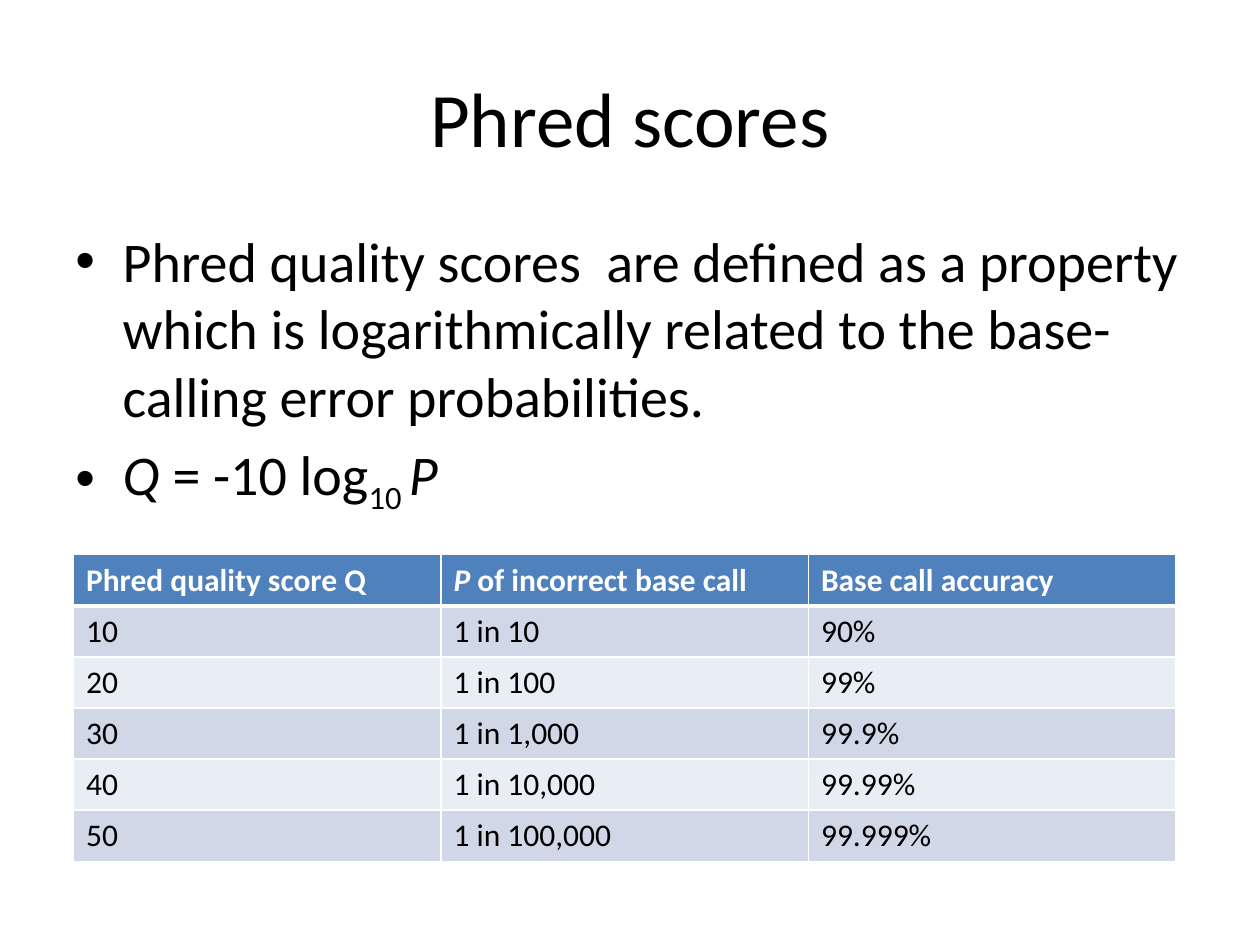
"""Build a slide that defines Phred scores and tabulates their accuracy."""
from lxml.etree import SubElement
from pptx import Presentation
from pptx.dml.color import RGBColor
from pptx.enum.text import MSO_ANCHOR, PP_ALIGN
from pptx.oxml.ns import qn
from pptx.util import Pt

COLORS = {
    "text": "000000",
    "white": "FFFFFF",
    "header": "4F81BD",
    "odd_row": "D0D8E8",
    "even_row": "E9EDF4",
}


def add_run(paragraph, text, color="text", baseline=None, **formats):
    run = paragraph.add_run()
    run.text = text
    for name, value in {"name": "Calibri", **formats}.items():
        setattr(run.font, name, value)
    run.font.color.rgb = RGBColor.from_string(COLORS[color])
    if baseline:
        run.font._element.set("baseline", str(baseline))


def add_border(cell, side, width):
    line = SubElement(cell._tc.get_or_add_tcPr(), qn(f"a:{side}"), w=str(Pt(width)))
    fill = SubElement(line, qn("a:solidFill"))
    SubElement(fill, qn("a:srgbClr"), val=COLORS["white"])


presentation = Presentation()
presentation.slide_width = Pt(720)
presentation.slide_height = Pt(540)
slide = presentation.slides.add_slide(presentation.slide_layouts[6])

title = slide.shapes.add_textbox(Pt(36), Pt(21.6), Pt(648), Pt(90))
title.text_frame.word_wrap = True
title.text_frame.vertical_anchor = MSO_ANCHOR.MIDDLE
paragraph = title.text_frame.paragraphs[0]
paragraph.alignment = PP_ALIGN.CENTER
add_run(paragraph, "Phred scores", size=Pt(44))

body = slide.shapes.add_textbox(Pt(36), Pt(126), Pt(648), Pt(356.4))
body.text_frame.word_wrap = True
bullets = [
    [("Phred quality scores  are defined as a property which is logarithmically "
      "related to the base-calling error probabilities.", {})],
    [("Q", {"italic": True}), (" = -10 log", {}), ("10 ", {"baseline": -25000}),
     ("P", {"italic": True})],
]
for index, runs in enumerate(bullets):
    paragraph = body.text_frame.paragraphs[0] if index == 0 else body.text_frame.add_paragraph()
    paragraph.space_before = Pt(6.4)
    properties = paragraph._p.get_or_add_pPr()
    properties.set("marL", str(Pt(27)))
    properties.set("indent", str(-Pt(27)))
    SubElement(properties, qn("a:buFont"), typeface="Arial")
    SubElement(properties, qn("a:buChar"), char="•")
    for text, formats in runs:
        add_run(paragraph, text, size=Pt(32), **formats)

rows = [[[("Phred quality score Q", {})],
         [("P", {"italic": True}), (" of incorrect base call", {})],
         [("Base call accuracy", {})]]]
accuracies = ["90%", "99%", "99.9%", "99.99%", "99.999%"]
for power, accuracy in enumerate(accuracies, start=1):
    values = [str(10 * power), f"1 in {10 ** power:,}", accuracy]
    rows.append([[(value, {})] for value in values])

table = slide.shapes.add_table(6, 3, Pt(42), Pt(317), Pt(630), Pt(175.2)).table
for column in table.columns:
    column.width = Pt(210)
for row_index, cells in enumerate(rows):
    table.rows[row_index].height = Pt(29.2)
    is_header = row_index == 0
    fill_color = "header" if is_header else "odd_row" if row_index % 2 else "even_row"
    for column_index, runs in enumerate(cells):
        cell = table.cell(row_index, column_index)
        borders = {"lnL": 1, "lnR": 1, "lnT": 3 if row_index == 1 else 1,
                   "lnB": 3 if is_header else 1}
        for side, width in borders.items():
            add_border(cell, side, width)
        cell.fill.solid()
        cell.fill.fore_color.rgb = RGBColor.from_string(COLORS[fill_color])
        for text, formats in runs:
            add_run(cell.text_frame.paragraphs[0], text, "white" if is_header else "text",
                    size=Pt(18), bold=is_header, **formats)

presentation.save("out.pptx")
